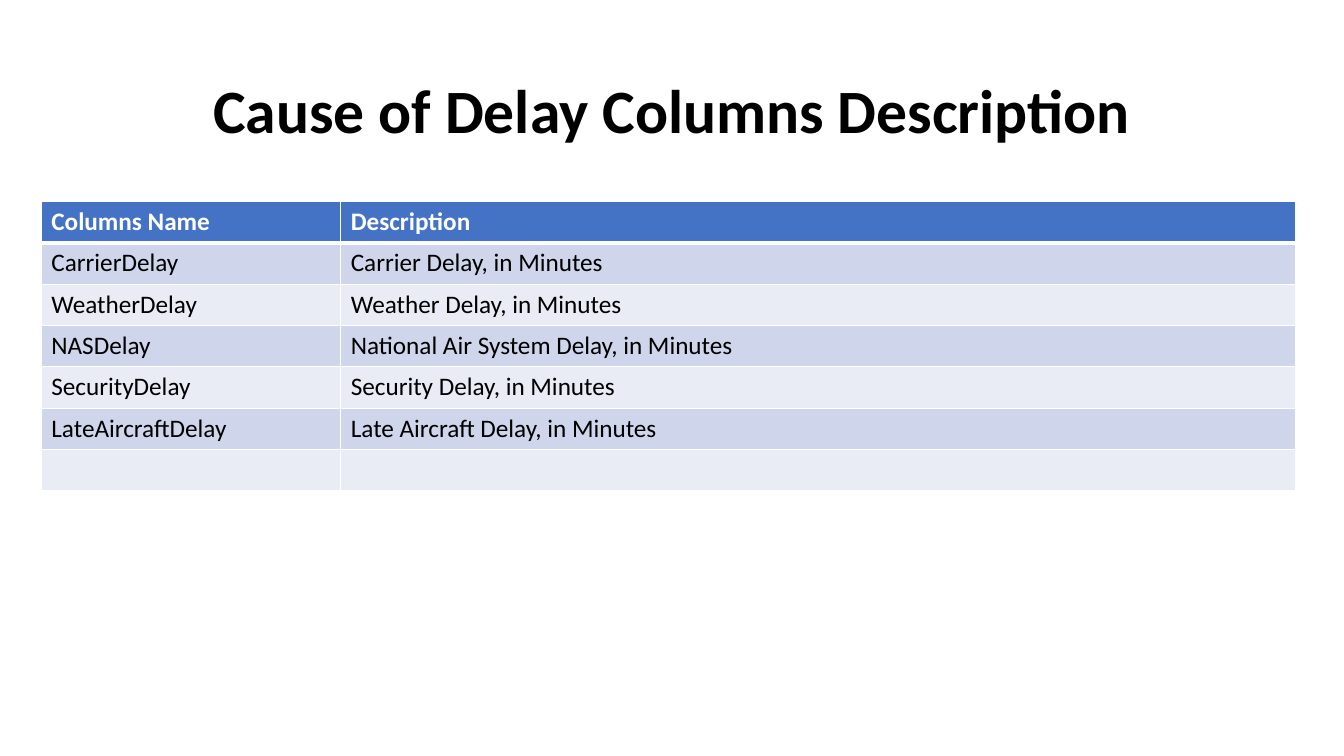
from dataclasses import dataclass

from lxml.etree import SubElement
from pptx import Presentation
from pptx.dml.color import RGBColor
from pptx.enum.text import MSO_ANCHOR, PP_ALIGN
from pptx.oxml import parse_xml
from pptx.oxml.ns import nsdecls
from pptx.util import Pt

EMU_PER_PX = 9144


def px(length):
    return length * EMU_PER_PX


@dataclass(frozen=True)
class Theme:
    font: str = "Calibri"
    text: str = "000000"
    light: str = "FFFFFF"
    header: str = "4472C4"
    bands: tuple = ("CFD5EA", "E9EBF5")
    title_size: int = 44
    table_size: int = 18
    rule: int = 1
    header_rule: int = 3


class SlideBuilder:
    def __init__(self, page, theme):
        self.page = page
        self.theme = theme

    def style(self, para, size, color, bold):
        for span in para.runs:
            span.font.name = self.theme.font
            span.font.size = Pt(size)
            span.font.color.rgb = RGBColor.from_string(color)
            span.font.bold = bold

    def title(self, text, left, top, width, height):
        box = self.page.shapes.add_textbox(px(left), px(top), px(width), px(height))
        frame = box.text_frame
        frame.word_wrap = True
        frame.vertical_anchor = MSO_ANCHOR.MIDDLE
        frame.text = text
        para = frame.paragraphs[0]
        para.alignment = PP_ALIGN.CENTER
        para.line_spacing = 0.9
        self.style(para, self.theme.title_size, self.theme.text, True)

    def borders(self, cell, top, bottom):
        properties = cell._tc.get_or_add_tcPr()
        rule = self.theme.rule
        sides = {"lnL": rule, "lnR": rule, "lnT": top, "lnB": bottom}
        for position, (side, width) in enumerate(sides.items()):
            line = parse_xml(
                f'<a:{side} {nsdecls("a")} w="{Pt(width)}"><a:solidFill>'
                f'<a:srgbClr val="{self.theme.light}"/></a:solidFill></a:{side}>'
            )
            properties.insert(position, line)

    def table(self, rows, left, top, column_widths, row_height):
        theme = self.theme
        frame = self.page.shapes.add_table(
            len(rows), len(column_widths), px(left), px(top),
            px(sum(column_widths)), px(row_height * len(rows)),
        )
        table = frame.table
        for column, width in zip(table.columns, column_widths):
            column.width = px(width)
        for index, values in enumerate(rows):
            table.rows[index].height = px(row_height)
            is_header = index == 0
            fill = theme.header if is_header else theme.bands[(index - 1) % 2]
            color = theme.light if is_header else theme.text
            top_rule = theme.header_rule if index == 1 else theme.rule
            bottom_rule = theme.header_rule if is_header else theme.rule
            for cell, value in zip(table.rows[index].cells, values):
                cell.fill.solid()
                cell.fill.fore_color.rgb = RGBColor.from_string(fill)
                self.borders(cell, top_rule, bottom_rule)
                if value:
                    cell.text_frame.text = value
                    self.style(cell.text_frame.paragraphs[0], theme.table_size, color, is_header)


def main():
    deck = Presentation()
    deck.slide_width, deck.slide_height = px(1333), px(750)
    page = deck.slides.add_slide(deck.slide_layouts[6])
    builder = SlideBuilder(page, Theme())
    builder.title("Cause of Delay Columns Description", 92, 40, 1150, 145)
    delay_columns = [
        ("Columns Name", "Description"),
        ("CarrierDelay", "Carrier Delay, in Minutes"),
        ("WeatherDelay", "Weather Delay, in Minutes"),
        ("NASDelay", "National Air System Delay, in Minutes"),
        ("SecurityDelay", "Security Delay, in Minutes"),
        ("LateAircraftDelay", "Late Aircraft Delay, in Minutes"),
        ("", ""),
    ]
    builder.table(delay_columns, 41, 200, (297, 947), 41)
    deck.save("out.pptx")


if __name__ == "__main__":
    main()
